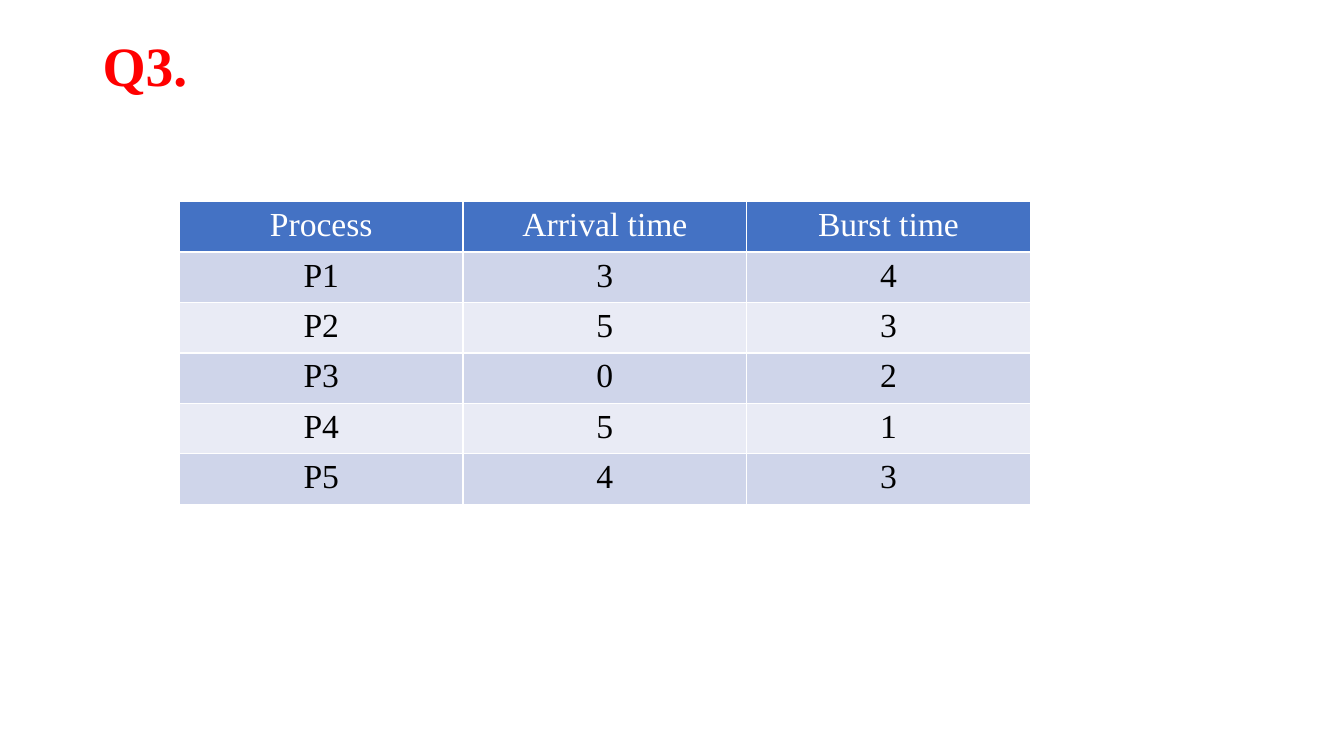
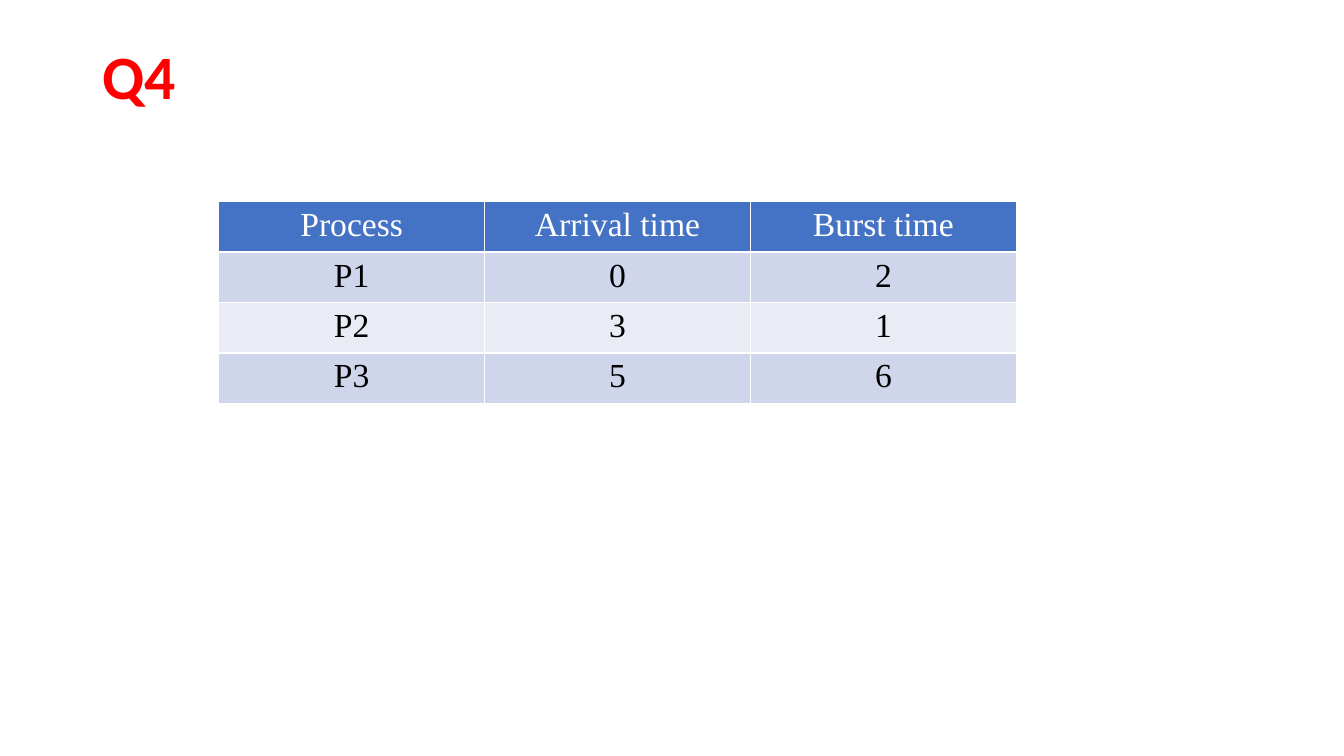
import pptx
import pptx.util
import pptx.dml.color
import pptx.enum.text

Inches = pptx.util.Inches
RGBColor = pptx.dml.color.RGBColor
PP_ALIGN = pptx.enum.text.PP_ALIGN
MSO_ANCHOR = pptx.enum.text.MSO_ANCHOR

RED = RGBColor(0xFF, 0x00, 0x00)
WHITE = RGBColor(0xFF, 0xFF, 0xFF)
BLACK = RGBColor(0x00, 0x00, 0x00)
HEADER_BLUE = RGBColor(0x44, 0x72, 0xC4)
BANDS = (RGBColor(0xCF, 0xD5, 0xEA), RGBColor(0xE9, 0xEB, 0xF5))

SERIF = "Times New Roman"
SANS = "Calibri"
HEADINGS = ("Process", "Arrival time", "Burst time")
ROW_HEIGHT = 0.47


def set_text(tf, text, *, size, color, font=SERIF, bold=False,
             align=PP_ALIGN.LEFT, spacing=None):
    p = tf.paragraphs[0]
    p.alignment = align
    p.line_spacing = spacing
    r = p.add_run()
    r.text = text
    r.font.name = font
    r.font.size = pptx.util.Pt(size)
    r.font.bold = bold
    r.font.color.rgb = color


def add_title(s, text, height, **text_format):
    box = s.shapes.add_textbox(Inches(0.92), Inches(0.4), Inches(11.5), Inches(height))
    tf = box.text_frame
    tf.word_wrap = True
    tf.vertical_anchor = MSO_ANCHOR.MIDDLE
    set_text(tf, text, color=RED, bold=True, spacing=0.9, **text_format)


def add_process_table(s, processes, left, top, width):
    """Draw the header and one banded row per (arrival, burst) pair."""
    rows = [HEADINGS]
    rows += [(f"P{n}", str(arrival), str(burst))
             for n, (arrival, burst) in enumerate(processes, 1)]
    table = s.shapes.add_table(len(rows), len(HEADINGS), Inches(left), Inches(top),
                               Inches(width), Inches(ROW_HEIGHT * len(rows))).table
    for i, values in enumerate(rows):
        fill = BANDS[(i - 1) % 2] if i else HEADER_BLUE
        for j, value in enumerate(values):
            cell = table.cell(i, j)
            cell.fill.solid()
            cell.fill.fore_color.rgb = fill
            set_text(cell.text_frame, value, size=24, align=PP_ALIGN.CENTER,
                     color=BLACK if i else WHITE)


def add_question(prs, title, title_format, processes, table_left, table_width):
    s = prs.slides.add_slide(prs.slide_layouts[6])
    add_title(s, title, **title_format)
    add_process_table(s, processes, table_left, 2, table_width)


def main():
    prs = pptx.Presentation()
    prs.slide_width = Inches(13.33)
    prs.slide_height = Inches(7.5)
    add_question(prs, "Q3.", dict(height=0.57, size=39.6, font=SERIF),
                 [(3, 4), (5, 3), (0, 2), (5, 1), (4, 3)], 1.78, 8.44)
    add_question(prs, "Q4", dict(height=0.77, size=44, font=SANS),
                 [(0, 2), (3, 1), (5, 6)], 2.17, 7.91)
    prs.save("out.pptx")


if __name__ == "__main__":
    main()
